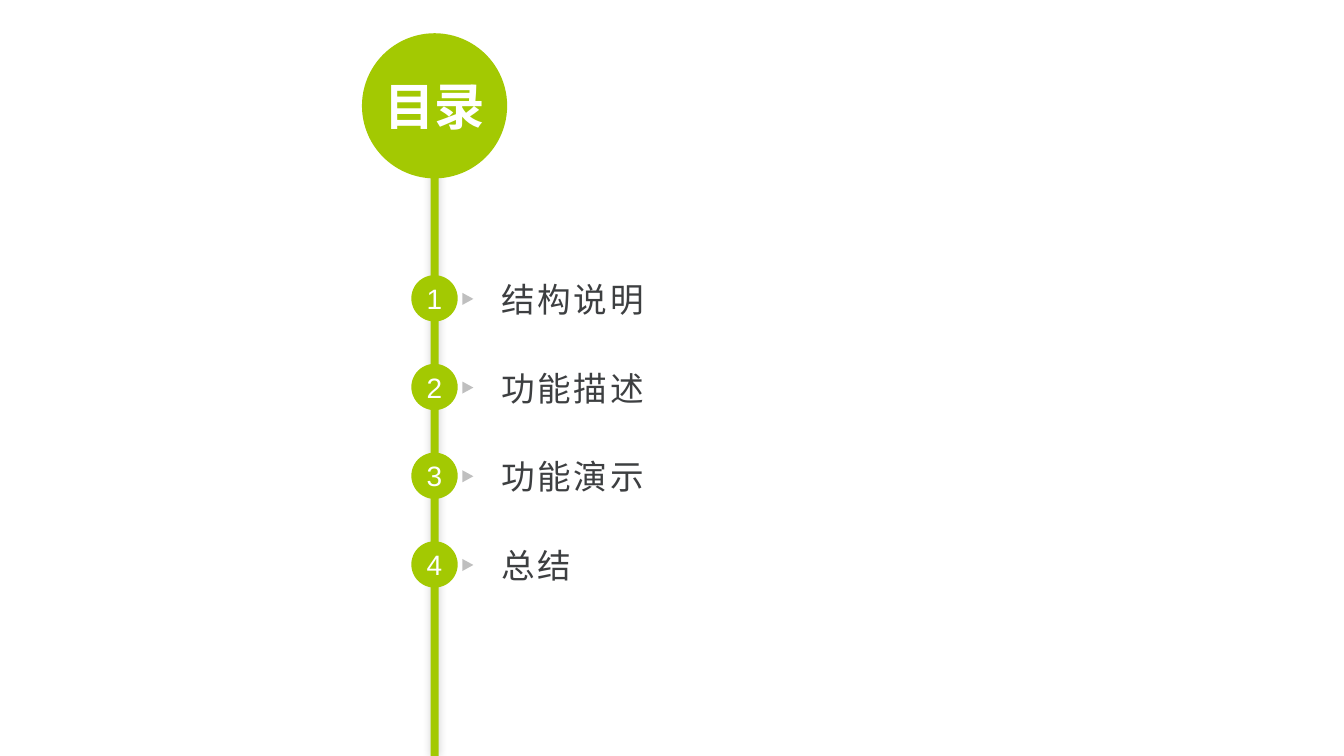
from lxml import etree
from pptx import Presentation, util as u
from pptx.dml.color import RGBColor
from pptx.enum import shapes, text
from pptx.oxml import ns

PX = 9144  # EMU per px, 100 px to the inch
GREEN = RGBColor(0xA3, 0xC9, 0x02)
GREY = RGBColor(0xBF, 0xBF, 0xBF)
DARK = RGBColor(0x3D, 0x3F, 0x41)
WHITE = RGBColor(0xFF, 0xFF, 0xFF)
CENTER, LEFT = text.PP_ALIGN.CENTER, text.PP_ALIGN.LEFT

TOPICS = ["结构说明", "功能描述", "功能演示", "总结"]
AXIS_X = 431
FIRST_Y, STEP = 296, 88


def px(*lengths):
    return [u.Emu(n * PX) for n in lengths]


def write(s, content, size, color, align=CENTER, bold=False, spacing=0):
    """Put one formatted line of text into a shape."""
    tf = s.text_frame
    tf.word_wrap = True
    tf.vertical_anchor = text.MSO_ANCHOR.MIDDLE
    tf.margin_left = tf.margin_top = tf.margin_right = tf.margin_bottom = 0
    p = tf.paragraphs[0]
    p.alignment = align
    r = p.add_run()
    r.text = content
    r.font.name = "Arial"
    r.font.size = u.Pt(size)
    r.font.bold = bold
    r.font.color.rgb = color
    if spacing:
        r.font._element.set("spc", str(spacing * 100))


def add_solid(slide, kind, left, top, width, height, color):
    s = slide.shapes.add_shape(kind, *px(left, top, width, height))
    s.shadow.inherit = False
    s.fill.solid()
    s.fill.fore_color.rgb = color
    s.line.fill.background()
    return s


def add_circle(slide, cy, diameter, label, size, bold=False):
    s = add_solid(slide, shapes.MSO_SHAPE.OVAL, AXIS_X - diameter // 2,
                  cy - diameter // 2, diameter, diameter, GREEN)
    write(s, label, size, WHITE, bold=bold)


def add_soft_shadow(s):
    effects = s._element.spPr.find(ns.qn("a:effectLst"))
    shadow = etree.SubElement(effects, ns.qn("a:outerShdw"), blurRad=str(u.Pt(6)),
                              dist="0", dir=str(225 * 60000), rotWithShape="0")
    color = etree.SubElement(shadow, ns.qn("a:srgbClr"), val="000000")
    etree.SubElement(color, ns.qn("a:alpha"), val="20000")


def add_topic(slide, number, topic):
    cy = FIRST_Y + (number - 1) * STEP
    add_circle(slide, cy, 46, str(number), 20)
    s = slide.shapes.add_textbox(*px(497, cy - 35, 584, 71))
    write(s, topic, 24, DARK, align=LEFT, spacing=2)
    pointer = add_solid(slide, shapes.MSO_SHAPE.ISOSCELES_TRIANGLE,
                        458, cy - 5, 12, 11, GREY)
    pointer.rotation = 90


def main():
    prs = Presentation()
    prs.slide_width, prs.slide_height = px(1333, 750)
    slide = prs.slides.add_slide(prs.slide_layouts[6])

    # Vertical stem with the title circle on top
    stem = add_solid(slide, shapes.MSO_SHAPE.RECTANGLE,
                     AXIS_X - 4, 104, 8, 646, GREEN)
    add_soft_shadow(stem)
    add_circle(slide, 105, 144, "目录", 36, bold=True)

    # Numbered topics
    for number, topic in enumerate(TOPICS, 1):
        add_topic(slide, number, topic)

    prs.save("out.pptx")


if __name__ == "__main__":
    main()
